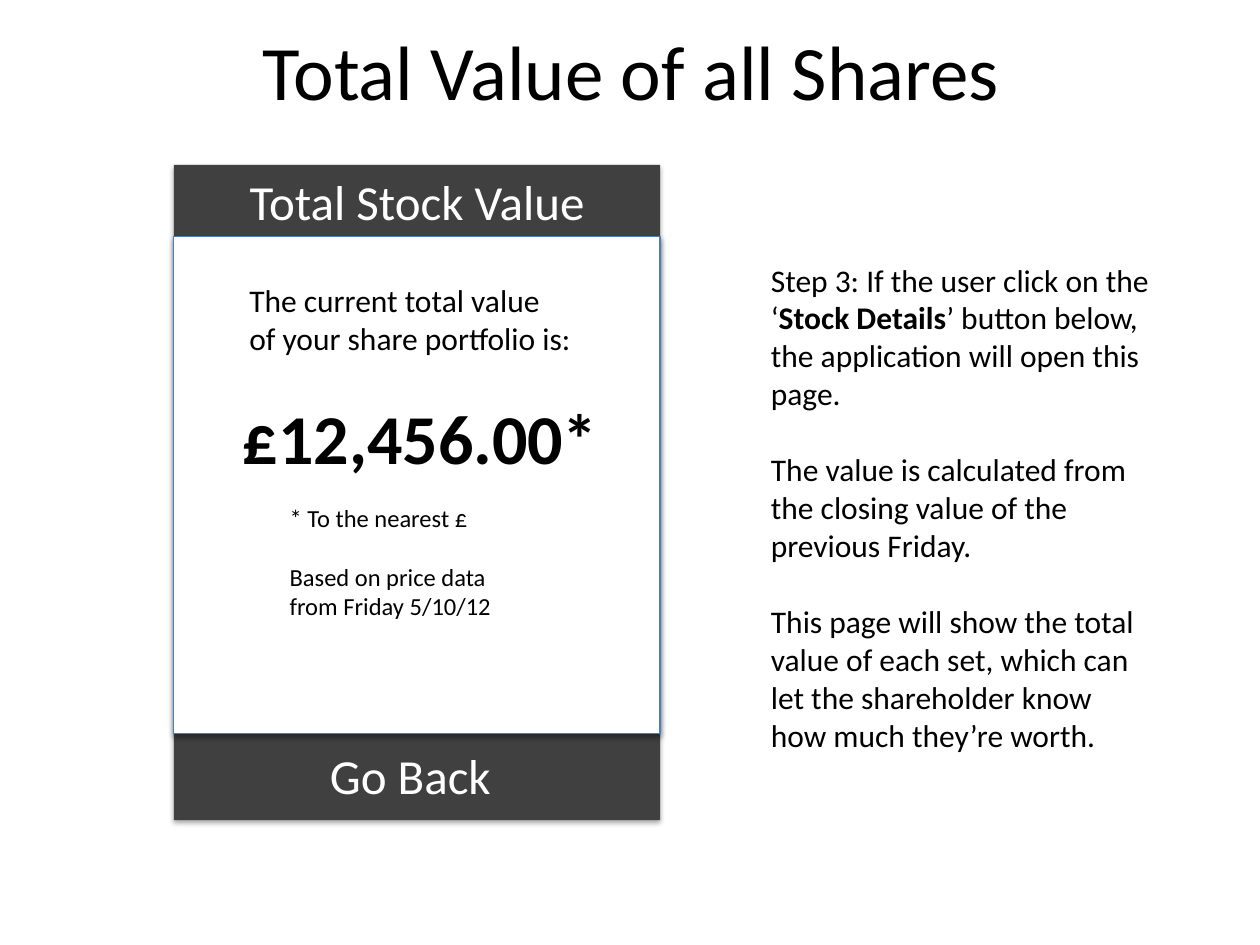
import pptx
import pptx.util
import pptx.dml.color
import pptx.enum.shapes
import pptx.enum.text
import pptx.oxml
import pptx.oxml.ns

Inches, Pt = pptx.util.Inches, pptx.util.Pt
ALIGN = pptx.enum.text.PP_ALIGN
ANCHOR = pptx.enum.text.MSO_ANCHOR

COLORS = {"text": "000000", "bar": "404040", "page": "FFFFFF", "edge": "4B7EBC"}
FONT = "Calibri"

# Each paragraph is a list of (text, bold) runs.
TITLE = [[("Total Value of all Shares", False)]]
HEADER = [[("Total Stock Value", False)]]
BUTTON = [[("Go Back", False)]]
INTRO = [[("The current total value", False)], [("of your share portfolio is:", False)]]
VALUE = [[("£12,456.00*", True)]]
FOOTNOTE = [
    [("* To the nearest £", False)],
    [("Based on price data", False)],
    [("from Friday 5/10/12", False)],
]
STEPS = [
    [("Step 3: If the user click on the ‘", False), ("Stock Details", True),
     ("’ button below, the application will open this page.", False)],
    [("The value is calculated from the closing value of the previous Friday.", False)],
    [("This page will show the total value of each set, which can let the "
      "shareholder know how much they’re worth.", False)],
]

# Phone mock-up: left, top, width, height, and the screen between its two bars
PHONE = (1.38, 1.31, 3.86, 5.2)
BAR_H, SCREEN_H = 0.57, 3.94


def rgb(name):
    return pptx.dml.color.RGBColor.from_string(COLORS[name])


def write(sp, paragraphs, size, color="text", align=ALIGN.LEFT,
          anchor=ANCHOR.TOP, wrap=True, gaps=None):
    """Fill a shape with runs; gaps maps paragraph index to points before it."""
    tf = sp.text_frame
    tf.word_wrap = wrap
    tf.vertical_anchor = anchor
    for i, runs in enumerate(paragraphs):
        p = tf.paragraphs[0] if i == 0 else tf.add_paragraph()
        p.alignment = align
        if gaps and i in gaps:
            p.space_before = Pt(gaps[i])
        for text, bold in runs:
            r = p.add_run()
            r.text = text
            r.font.name, r.font.size, r.font.bold = FONT, Pt(size), bold
            r.font.color.rgb = rgb(color)


def add_text(slide, box, paragraphs, size, **fmt):
    sp = slide.shapes.add_textbox(*map(Inches, box))
    write(sp, paragraphs, size, **fmt)


def add_panel(slide, box, fill, line=None, distance=1.8, opacity=35):
    """Add a rectangle with a soft shadow below it."""
    sp = slide.shapes.add_shape(
        pptx.enum.shapes.MSO_SHAPE.RECTANGLE, *map(Inches, box))
    sp.fill.solid()
    sp.fill.fore_color.rgb = rgb(fill)
    if line:
        sp.line.color.rgb = rgb(line)
        sp.line.width = Pt(0.75)
    else:
        sp.line.fill.background()
    sp.shadow.inherit = False
    effects = sp._element.spPr.find(pptx.oxml.ns.qn("a:effectLst"))
    effects.append(pptx.oxml.parse_xml(
        f'<a:outerShdw {pptx.oxml.ns.nsdecls("a")} blurRad="{Pt(3.1)}" '
        f'dist="{Pt(distance)}" dir="5400000" rotWithShape="0">'
        f'<a:srgbClr val="{COLORS["text"]}"><a:alpha val="{opacity * 1000}"/>'
        '</a:srgbClr></a:outerShdw>'))


def main():
    prs = pptx.Presentation()
    prs.slide_width, prs.slide_height = Inches(10), Inches(7.5)
    slide = prs.slides.add_slide(prs.slide_layouts[5])

    title = slide.shapes.title
    title.left, title.top, title.width, title.height = map(Inches, (0.51, 0.13, 9, 0.85))
    write(title, TITLE, 44, align=ALIGN.CENTER, anchor=ANCHOR.MIDDLE)

    left, top, width, _ = PHONE
    add_panel(slide, PHONE, "bar")
    add_text(slide, (left, top, width, BAR_H), HEADER, 28, color="page", align=ALIGN.CENTER)
    add_panel(slide, (left, top + BAR_H, width, SCREEN_H), "page", line="edge",
              distance=1.6, opacity=38)

    add_text(slide, (6.02, 2.02, 3.23, 4.04), STEPS, 18, gaps={1: 22, 2: 22})
    add_text(slide, (2.52, 5.87, 1.49, BAR_H), BUTTON, 28, color="page", wrap=False)
    add_text(slide, (1.88, 2.18, 2.79, 0.71), INTRO, 18, wrap=False)
    add_text(slide, (1.83, 3.08, 3.05, 0.77), VALUE, 40, wrap=False)
    add_text(slide, (2.2, 3.94, 1.82, 1.04), FOOTNOTE, 14, wrap=False, gaps={1: 17})

    prs.save("out.pptx")


if __name__ == "__main__":
    main()
